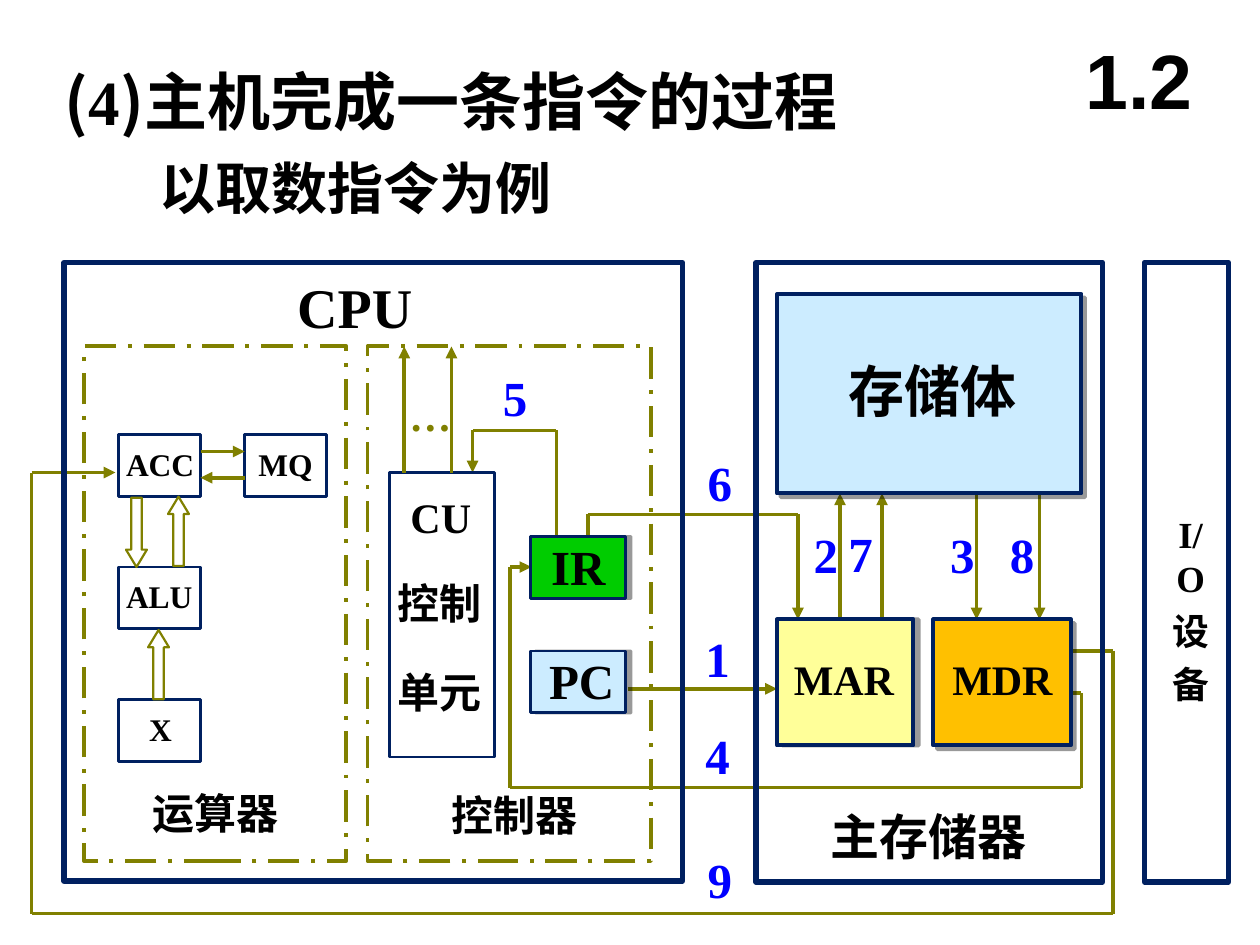
from itertools import groupby, pairwise

from lxml import etree
from pptx import Presentation
from pptx.dml.color import RGBColor
from pptx.enum import dml, shapes, text
from pptx.oxml import ns
from pptx.util import Inches, Pt

CELL = Inches(1) / 12
COLUMNS, ROWS = 120, 90
SERIF, HAN, SANS = "Times New Roman", "Noto Sans CJK SC", "Arial"
COLORS = {
    "ink": "000000", "step": "0000FF", "wire": "808000", "frame": "002060",
    "sky": "CCECFF", "cream": "FFFF99", "amber": "FFC000", "green": "00CC00",
}


def grid(*cells):
    """Turn grid counts into slide lengths."""
    return [round(cell * CELL) for cell in cells]


def color(name):
    """Look up a named colour."""
    return RGBColor.from_string(COLORS[name])


def add_xml(parent, tag, **attributes):
    """Append a drawing element to a parent element."""
    return etree.SubElement(parent, ns.qn(tag), attributes)


def font_for(letter):
    """Choose the font that suits one character."""
    return SERIF if letter.isascii() and letter not in "()" else HAN


def add_text(page, words, left, top, width, height, size=24, ink="ink", font=None,
             align="LEFT", pad=False, wrap=True, grow=True, anchor="TOP", gap=0):
    """Add bold text, one paragraph per line, with a font chosen by script."""
    box = page.shapes.add_textbox(*grid(left, top, width, height))
    frame = box.text_frame
    frame.word_wrap = wrap
    frame.vertical_anchor = getattr(text.MSO_ANCHOR, anchor)
    frame.auto_size = text.MSO_AUTO_SIZE.SHAPE_TO_FIT_TEXT if grow else text.MSO_AUTO_SIZE.NONE
    if not pad:
        frame.margin_left = frame.margin_right = frame.margin_top = frame.margin_bottom = 0
    for index, line in enumerate(words.split("\n")):
        para = frame.add_paragraph() if index else frame.paragraphs[0]
        para.alignment = getattr(text.PP_ALIGN, align)
        if index:
            para.space_before = Pt(gap)
        for face, letters in groupby(line, lambda letter: font or font_for(letter)):
            span = para.add_run()
            span.text = "".join(letters)
            span.font.name, span.font.size, span.font.bold = face, Pt(size), True
            span.font.color.rgb = color(ink)
            add_xml(span.font._element, "a:ea", typeface=face)


def style_shape(shape, fill, line, weight):
    """Give a shape its fill and outline and drop the theme shadow."""
    if fill:
        shape.fill.solid()
        shape.fill.fore_color.rgb = color(fill)
    else:
        shape.fill.background()
    shape.line.color.rgb = color(line)
    shape.line.width = Pt(weight)
    shape.shadow.inherit = False


def add_block(page, left, top, width, height, fill=None, line="frame", weight=1.64,
              dashed=False, shadow=None):
    """Add a rectangle, with a shadow cast at an angle in degrees if given."""
    block = page.shapes.add_shape(shapes.MSO_SHAPE.RECTANGLE, *grid(left, top, width, height))
    style_shape(block, fill, line, weight)
    if dashed:
        block.line.dash_style = dml.MSO_LINE.LONG_DASH_DOT
    if shadow is not None:
        effects = block._element.spPr.find(ns.qn("a:effectLst"))
        cast = add_xml(effects, "a:outerShdw", blurRad="0", dist=str(Pt(3)),
                       dir=str(shadow * 60000), algn="tl", rotWithShape="0")
        tint = add_xml(cast, "a:srgbClr", val=COLORS["ink"])
        add_xml(tint, "a:alpha", val="40000")


def add_route(page, *points):
    """Join points with straight wires and end in an arrowhead."""
    for start, end in pairwise(points):
        wire = page.shapes.add_connector(shapes.MSO_CONNECTOR.STRAIGHT, *grid(*start, *end))
        wire.line.color.rgb = color("wire")
        wire.line.width = Pt(2.25)
        if end == points[-1]:
            add_xml(wire.line._get_or_add_ln(), "a:tailEnd", type="triangle")
        add_xml(wire._element.spPr, "a:effectLst")


def add_hollow_arrow(page, x, tip, tail):
    """Draw a vertical outlined arrow centred on a column."""
    neck = tip + (1.65 if tail > tip else -1.65)
    half = [(1, neck), (0.5, neck), (0.5, tail)]
    outline = [(x - dx, y) for dx, y in half] + [(x + dx, y) for dx, y in reversed(half)]
    builder = page.shapes.build_freeform(*grid(x, tip), scale=1.0)
    builder.add_line_segments([grid(*point) for point in outline], close=True)
    style_shape(builder.convert_to_shape(), None, "wire", 1.25)


def add_headings(page):
    """Add the title, the subtitle and the section number."""
    add_text(page, "(4)主机完成一条指令的过程", 5, 5.4, 87, 8.4, size=36, pad=True)
    add_text(page, "以取数指令为例", 14, 14, 51, 7.7, size=32, pad=True)
    add_text(page, "1.2", 101, 2, 15, 11, size=44, font=SANS, align="CENTER",
             pad=True, grow=False, anchor="MIDDLE")


def add_steps(page):
    """Draw the wires and the numbers of the nine steps."""
    add_route(page, (59.8, 65.6), (74, 65.6))
    for x in (80, 84):
        add_route(page, (x, 59), (x, 47))
    for x in (93, 99):
        add_route(page, (x, 47), (x, 59))
    add_route(page, (102, 66), (103, 66), (103, 75), (48.6, 75), (48.6, 54), (50.6, 54))
    add_route(page, (53, 51), (53, 41), (45, 41), (45, 45))
    add_route(page, (56, 51), (56, 49), (76, 49), (76, 59))
    add_route(page, (102, 62), (106, 62), (106, 87), (3, 87), (3, 45), (11, 45))
    places = [(66, 59.3), (76.3, 49.4), (89.3, 49.4), (66, 68.5), (46.7, 34.4),
              (66.2, 42.5), (79.6, 49.3), (95, 49.4), (66.2, 80.3)]
    for number, (left, top) in enumerate(places, 1):
        add_text(page, str(number), left, top, 4.7, 6.8, size=28, ink="step",
                 align="CENTER", pad=True, wrap=False)


def add_memory(page):
    """Draw the main memory with its store and two registers."""
    add_block(page, 72, 25, 33, 59, weight=3)
    add_text(page, "主存储器", 79.1, 76.8, 22.2, 5.6, size=28)
    add_block(page, 88.9, 59, 13.1, 12, fill="amber", weight=2.25, shadow=45)
    add_text(page, "MDR", 90.7, 62.2, 12, 4.8)
    add_block(page, 74, 59, 13, 12, fill="cream", weight=2.25, shadow=0)
    add_text(page, "MAR", 75.6, 62.2, 13, 4.8)
    add_block(page, 74, 28, 29, 19, fill="sky", weight=2.25, shadow=45)
    add_text(page, "存储体", 79.6, 33.4, 18.4, 7.7, size=32, align="CENTER",
             pad=True, wrap=False)


def add_control(page):
    """Draw the control unit with its instruction register and counter."""
    add_block(page, 35, 33, 27, 49, line="wire", weight=2.25, dashed=True)
    add_text(page, "控制器", 43, 75.2, 17, 4.8)
    add_block(page, 37.1, 45, 10, 27.1)
    for words, left, top in [("CU", 39.1, 46.8), ("控制", 37.9, 55), ("单元", 37.9, 63.5)]:
        add_text(page, words, left, top, 11.5, 4.8)
    for words, left, top, fill in [("PC", 52.3, 62, "sky"), ("IR", 52.5, 51.1, "green")]:
        add_block(page, 50.5, top, 9.1, 5.9, fill=fill, shadow=0)
        add_text(page, words, left, top, 13, 5.6, size=28)
    for x in (38.5, 43):
        add_route(page, (x, 45), (x, 33))
    add_text(page, "…", 37.8, 36.5, 6.4, 6, ink="wire", font=SERIF, pad=True, wrap=False)


def add_arithmetic(page):
    """Draw the arithmetic unit with its registers and data arrows."""
    add_block(page, 8, 33, 25, 49, line="wire", weight=2.25, dashed=True)
    add_text(page, "运算器", 14.5, 75, 16.3, 4.8)
    parts = [("ACC", 11.3, 0, 0.7), ("MQ", 23.3, 0, 1.3), ("ALU", 11.3, 1, 0.7), ("X", 11.3, 2, 2.9)]
    for words, left, row, indent in parts:
        top = 41.4 + 12.6 * row
        add_block(page, left, top, 7.8, 5.9)
        add_text(page, words, left + indent, top + 1, 8, 3.6, size=18)
    add_route(page, (19.1, 43), (23.3, 43))
    add_route(page, (23.3, 45.5), (19.1, 45.5))
    for x, tip, tail in [(13, 54, 47.4), (17, 47.3, 53.9), (15.1, 60, 66.6)]:
        add_hollow_arrow(page, x, tip, tail)


def main():
    """Build the slide and save it."""
    deck = Presentation()
    deck.slide_width, deck.slide_height = grid(COLUMNS, ROWS)
    page = deck.slides.add_slide(deck.slide_layouts[6])
    add_headings(page)
    add_steps(page)
    add_memory(page)
    add_block(page, 6.1, 25, 58.9, 58.9, weight=3)
    add_text(page, "CPU", 28.3, 26, 11, 6.4, size=32, align="CENTER", wrap=False)
    add_control(page)
    add_arithmetic(page)
    add_text(page, "I/O\n设\n备", 110.9, 48.7, 5, 14.4, size=21, align="CENTER",
             wrap=False, gap=5.2)
    add_block(page, 109, 25, 8, 59, weight=3)
    deck.save("out.pptx")


if __name__ == "__main__":
    main()
